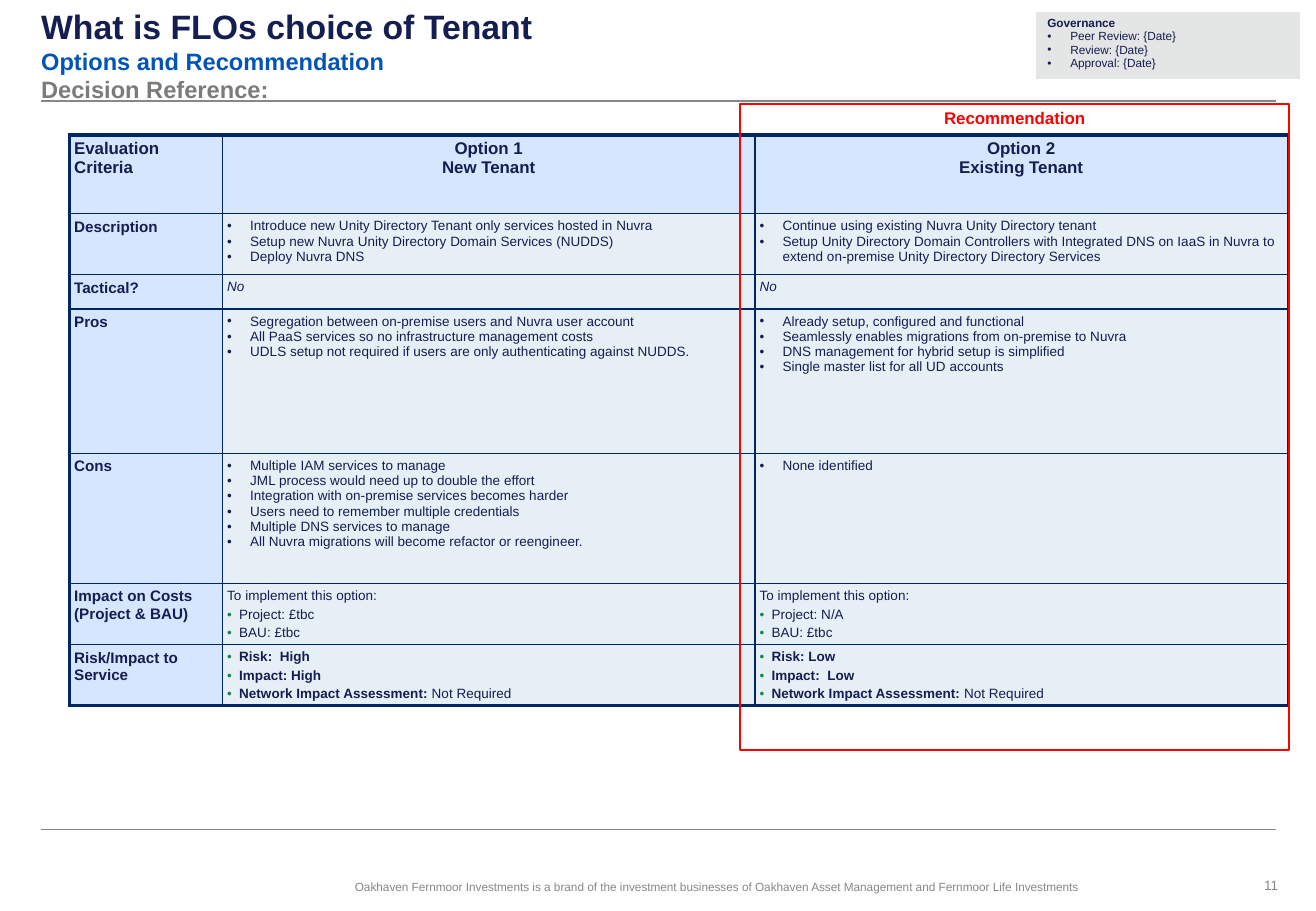
from lxml import etree
from pptx import Presentation
from pptx.dml.color import RGBColor
from pptx.enum import shapes, text
from pptx.oxml import ns
from pptx.util import Cm, Pt

NAVY = RGBColor(0x14, 0x1E, 0x50)
BORDER = RGBColor(0x00, 0x26, 0x63)
BLUE = RGBColor(0x03, 0x54, 0xB5)
TITLE_GREY = RGBColor(0x79, 0x7B, 0x7D)
GREY = RGBColor(0x87, 0x87, 0x87)
PANEL_GREY = RGBColor(0xE4, 0xE5, 0xE5)
HEADER_FILL = RGBColor(0xD6, 0xE6, 0xFF)
BODY_FILL = RGBColor(0xE6, 0xEF, 0xF5)
GREEN = RGBColor(0x15, 0x86, 0x4F)
RED = RGBColor(0xFF, 0x00, 0x00)


def style(paragraph, size, color, bold=False, align=text.PP_ALIGN.LEFT):
    font = paragraph.font
    font.name, font.size, font.bold = "Arial", Pt(size), bold
    font.color.rgb = color
    paragraph.alignment = align


def add_bullet(paragraph, indent, color):
    properties = paragraph._p.get_or_add_pPr()
    properties.set("marL", str(indent))
    properties.set("indent", str(-indent))
    bullet_color = etree.Element(ns.qn("a:buClr"))
    etree.SubElement(bullet_color, ns.qn("a:srgbClr"), val=str(color))
    bullet_font = etree.Element(ns.qn("a:buFont"), typeface="Arial")
    bullet = etree.Element(ns.qn("a:buChar"), char="•")
    # Bullet elements come after spacing and before the default run properties
    defaults = properties.find(ns.qn("a:defRPr"))
    for element in (bullet_color, bullet_font, bullet):
        defaults.addprevious(element)


presentation = Presentation()
presentation.slide_width, presentation.slide_height = Cm(27.51), Cm(19.05)
slide = presentation.slides.add_slide(presentation.slide_layouts[6])

# Rules under the title and above the footer
for y in (2.11, 17.35):
    rule = slide.shapes.add_connector(
        shapes.MSO_CONNECTOR.STRAIGHT, Cm(0.86), Cm(y), Cm(26.67), Cm(y))
    rule.line.color.rgb, rule.line.width = GREY, Pt(0.75)
    etree.SubElement(rule._element.spPr, ns.qn("a:effectLst"))

# Title and footer: left, top, width, height, inset, anchor, alignment, lines
TOP, BOTTOM = text.MSO_ANCHOR.TOP, text.MSO_ANCHOR.BOTTOM
LEFT, RIGHT = text.PP_ALIGN.LEFT, text.PP_ALIGN.RIGHT
CENTER = text.PP_ALIGN.CENTER
text_boxes = [
    (0.86, 0, 25.81, 2.26, 0.1, BOTTOM, LEFT, [
        ("What is FLOs choice of Tenant", 20, NAVY, True),
        ("Options and Recommendation", 14, BLUE, True),
        ("Decision Reference:", 14, TITLE_GREY, True)]),
    (7.42, 18.39, 16, 0.3, 0, TOP, LEFT, [
        ("Oakhaven Fernmoor Investments is a brand of the investment businesses of "
         "Oakhaven Asset Management and Fernmoor Life Investments", 7, GREY, False)]),
    (25.88, 18.34, 0.84, 0.33, 0, BOTTOM, RIGHT, [("11", 8, GREY, False)]),
]
for left, top, width, height, inset, anchor, align, lines in text_boxes:
    frame = slide.shapes.add_textbox(Cm(left), Cm(top), Cm(width), Cm(height)).text_frame
    frame.word_wrap, frame.vertical_anchor = True, anchor
    frame.margin_left = frame.margin_right = 0
    frame.margin_top = frame.margin_bottom = Cm(inset)
    frame.text = "\n".join(line[0] for line in lines)
    for paragraph, (_, size, color, bold) in zip(frame.paragraphs, lines):
        style(paragraph, size, color, bold, align)

# Governance panel
governance = slide.shapes.add_table(1, 1, Cm(21.64), Cm(0.23), Cm(5.56), Cm(1.35)).table
governance.first_row = governance.horz_banding = False
panel = governance.cell(0, 0)
panel.fill.solid()
panel.fill.fore_color.rgb = PANEL_GREY
panel.text = "Governance\nPeer Review: {Date}\nReview: {Date}\nApproval: {Date}"
for index, paragraph in enumerate(panel.text_frame.paragraphs):
    style(paragraph, 7, NAVY, bold=index == 0)
    if index:
        add_bullet(paragraph, Cm(0.48), NAVY)

# Options table: row height, criterion, option 1, option 2
options = [
    (1.65, "Evaluation\vCriteria", "Option 1\nNew Tenant", "Option 2\nExisting Tenant"),
    (1.27, "Description",
     "Introduce new Unity Directory Tenant only services hosted in Nuvra\n"
     "Setup new Nuvra Unity Directory Domain Services (NUDDS)\n"
     "Deploy Nuvra DNS",
     "Continue using existing Nuvra Unity Directory tenant\n"
     "Setup Unity Directory Domain Controllers with Integrated DNS on IaaS in Nuvra to "
     "extend on-premise Unity Directory Directory Services"),
    (0.72, "Tactical?", "No", "No"),
    (3.02, "Pros",
     "Segregation between on-premise users and Nuvra user account\n"
     "All PaaS services so no infrastructure management costs\n"
     "UDLS setup not required if users are only authenticating against NUDDS.",
     "Already setup, configured and functional\n"
     "Seamlessly enables migrations from on-premise to Nuvra\n"
     "DNS management for hybrid setup is simplified\n"
     "Single master list for all UD accounts"),
    (2.72, "Cons",
     "Multiple IAM services to manage\n"
     "JML process would need up to double the effort\n"
     "Integration with on-premise services becomes harder\n"
     "Users need to remember multiple credentials\n"
     "Multiple DNS services to manage\n"
     "All Nuvra migrations will become refactor or reengineer.",
     "None identified"),
    (1.28, "Impact on Costs (Project & BAU)",
     "To implement this option:\nProject: £tbc\nBAU: £tbc",
     "To implement this option:\nProject: N/A\nBAU: £tbc"),
    (1.28, "Risk/Impact to Service",
     "Risk:  High\nImpact: High\nNetwork Impact Assessment: Not Required",
     "Risk: Low\nImpact:  Low\nNetwork Impact Assessment: Not Required"),
]
HEADER, TACTICAL, COSTS, RISK = 0, 2, 5, 6
table = slide.shapes.add_table(
    len(options), 3, Cm(1.45), Cm(2.82), Cm(25.46), Cm(11.94)).table
table.first_row = table.horz_banding = False
for column, width in zip(table.columns, (3.2, 11.13, 11.13)):
    column.width = Cm(width)

for row, (height, *contents) in enumerate(options):
    table.rows[row].height = Cm(height)
    for column, content in enumerate(contents):
        cell = table.cell(row, column)
        cell.margin_left = cell.margin_right = cell.margin_top = Cm(0.1)
        cell.margin_bottom = Cm(0.02)
        outer = {"L": column == 0, "R": False, "T": row == HEADER, "B": row == RISK}
        for side, thick in outer.items():
            line = etree.SubElement(cell._tc.get_or_add_tcPr(), ns.qn(f"a:ln{side}"),
                                    w=str(Pt(2.25 if thick else 1)))
            line_fill = etree.SubElement(line, ns.qn("a:solidFill"))
            etree.SubElement(line_fill, ns.qn("a:srgbClr"), val=str(BORDER))
        heading = row == HEADER or column == 0
        cell.fill.solid()
        cell.fill.fore_color.rgb = HEADER_FILL if heading else BODY_FILL

        cell.text = content
        for index, paragraph in enumerate(cell.text_frame.paragraphs):
            if heading:
                style(paragraph, 10 if row == HEADER else 9, NAVY, True,
                      CENTER if column else LEFT)
                continue
            style(paragraph, 8, NAVY, bold=row == RISK)
            paragraph.font.italic = row == TACTICAL
            if row >= COSTS:
                if index:
                    paragraph.space_before = Pt(2)
                if row == RISK or index:
                    add_bullet(paragraph, Cm(0.25), GREEN)
            elif row != TACTICAL:
                add_bullet(paragraph, Cm(0.48), NAVY)
            label, separator, verdict = paragraph.text.partition("Assessment: ")
            if separator:
                paragraph.runs[0].text = label + separator
                run = paragraph.add_run()
                run.text, run.font.bold = verdict, False

# Frame around the recommended option
recommendation = slide.shapes.add_shape(
    shapes.MSO_SHAPE.RECTANGLE, Cm(15.47), Cm(2.18), Cm(11.48), Cm(13.51))
recommendation.shadow.inherit = False
recommendation.fill.background()
recommendation.line.color.rgb, recommendation.line.width = RED, Pt(1.5)
frame = recommendation.text_frame
frame.word_wrap, frame.vertical_anchor = False, TOP
frame.margin_top = frame.margin_bottom = Cm(0.08)
frame.text = "Recommendation"
style(frame.paragraphs[0], 10, RED, True, CENTER)

presentation.save("out.pptx")
